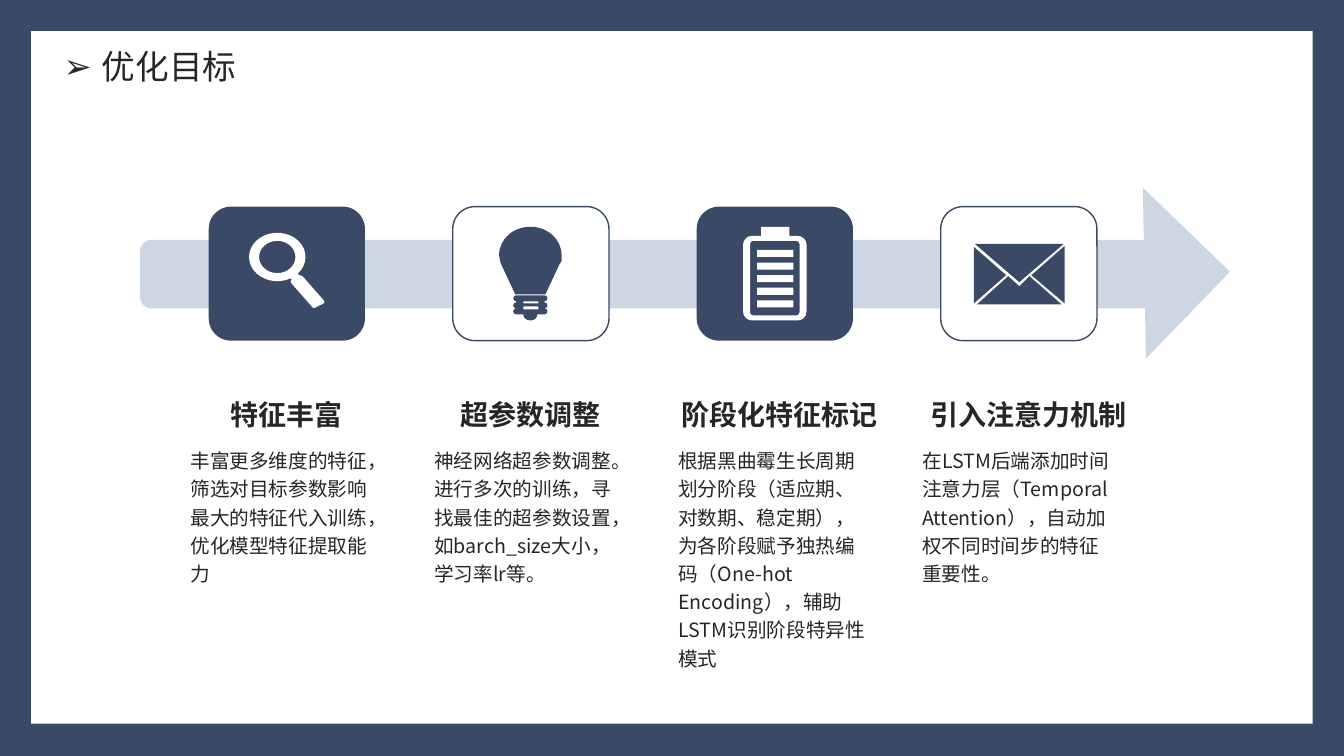
from dataclasses import dataclass
from math import ceil, cos, radians, sin, tan

from lxml import etree
from pptx import Presentation
from pptx.dml.color import RGBColor
from pptx.enum.shapes import MSO_SHAPE as Shape
from pptx.enum.text import MSO_ANCHOR as Anchor, MSO_AUTO_SIZE as AutoSize, PP_ALIGN as Align
from pptx.oxml.ns import qn
from pptx.util import Inches, Pt


@dataclass(frozen=True)
class Theme:
    navy: RGBColor = RGBColor(0x39, 0x49, 0x66)
    pale: RGBColor = RGBColor(0xCE, 0xD6, 0xE4)
    white: RGBColor = RGBColor(0xFF, 0xFF, 0xFF)
    ink: RGBColor = RGBColor(0x26, 0x26, 0x26)
    font: str = "Noto Sans CJK SC"
    title: int = 24
    heading: int = 20
    body: int = 14


THEME = Theme()
CARD_LEFT, CARD_PITCH = 2.07, 2.42
BODY_LEFT = 1.79


@dataclass(frozen=True)
class Goal:
    heading: str
    heading_left: float
    heading_width: float
    body: tuple
    body_height: float
    icon: list


def arc(cx, cy, rx, ry, start=0, end=360):
    """A start point, then Bezier segments (two controls and an end), clockwise."""
    count = ceil((end - start) / 90)
    step = radians((end - start) / count)
    pull = 4 / 3 * tan(step / 4)
    segments = [(cx + rx * cos(radians(start)), cy + ry * sin(radians(start)))]
    for i in range(count):
        a = radians(start) + step * i
        b = a + step
        segments.append((cx + rx * (cos(a) - pull * sin(a)), cy + ry * (sin(a) + pull * cos(a)),
                         cx + rx * (cos(b) + pull * sin(b)), cy + ry * (sin(b) - pull * cos(b)),
                         cx + rx * cos(b), cy + ry * sin(b)))
    return segments


def rounded(left, top, right, bottom, radius):
    corners = [(right - radius, bottom - radius), (left + radius, bottom - radius),
               (left + radius, top + radius), (right - radius, top + radius)]
    return [segment for i, (x, y) in enumerate(corners)
            for segment in arc(x, y, radius, radius, 90 * i, 90 * i + 90)]


def box(left, top, right, bottom):
    return [(left, top), (right, top), (right, bottom), (left, bottom)]


def magnifier():
    handle = [(2.97, 2.74), (2.97, 2.73), (2.98, 2.73, 2.99, 2.73, 3, 2.74), (3.21, 2.98),
              (3.22, 2.99, 3.22, 3, 3.21, 3.01), (3.13, 3.05),
              (3.12, 3.06, 3.11, 3.06, 3.1, 3.05), (2.89, 2.81),
              (2.88, 2.8, 2.88, 2.79, 2.89, 2.78), (2.9, 2.78)]
    return [arc(2.75, 2.55, 0.28, 0.24, 62, 403) + handle,
            arc(2.75, 2.55, 0.18, 0.16)]


def bulb():
    glass = arc(5.26, 2.53, 0.31, 0.28, 180, 360) + [
        (5.57, 2.59), (5.55, 2.62), (5.41, 2.92), (5.11, 2.92), (4.97, 2.62), (4.96, 2.59)]
    threads = (2.96, 3.03, 3.09)
    base = []
    for y in threads:
        base += arc(5.4, y, 0.03, 0.03, -90, 90)
    base += arc(5.26, 3.12, 0.07, 0.06, 0, 180)
    for y in reversed(threads):
        base += arc(5.12, y, 0.03, 0.03, 90, 270)
    gaps = [box(5.19, 2.99, 5.34, 3.01), box(5.19, 3.04, 5.34, 3.07)]
    return [glass, base, *gaps]


def battery():
    bars = [box(7.51, 2.48 + 0.125 * i, 7.87, 2.55 + 0.125 * i) for i in range(5)]
    return [rounded(7.37, 2.34, 8, 3.18, 0.09), rounded(7.44, 2.39, 7.93, 3.13, 0.03),
            box(7.55, 2.25, 7.83, 2.34), *bars]


def envelope():
    return [[(10, 2.74), (10.11, 2.84), (10.21, 2.74), (10.53, 3.02), (9.69, 3.02)],
            [(9.66, 2.45), (9.98, 2.73), (9.66, 3.01)],
            [(10.56, 2.44), (10.56, 3.01), (10.23, 2.73)],
            [(9.67, 2.42), (10.55, 2.42), (10.11, 2.8)]]


GOALS = [
    Goal("特征丰富", 1.95, 1.78,
         ("丰富更多维度的特征，筛选对目标参数影响最大的特征代入训练，优化模型特征提取能力",),
         1.51, magnifier()),
    Goal("超参数调整", 4.37, 1.78,
         ("神经网络超参数调整。进行多次的训练，寻找最佳的超参数设置，",
          "如barch_size大小，学习率lr等。"), 1.51, bulb()),
    Goal("阶段化特征标记", 6.48, 2.51,
         ("根据黑曲霉生长周期划分阶段（适应期、对数期、稳定期），为各阶段赋予独热编码"
          "（One-hot Encoding），辅助LSTM识别阶段特异性模式",), 2.36, battery()),
    Goal("引入注意力机制", 8.95, 2.51,
         ("在LSTM后端添加时间注意力层（Temporal Attention），"
          "自动加权不同时间步的特征重要性。",), 1.51, envelope()),
]


def paint(shape, fill, line=None):
    shape.shadow.inherit = False
    shape.fill.solid()
    shape.fill.fore_color.rgb = fill
    if line is None:
        shape.line.fill.background()
    else:
        shape.line.color.rgb = line
        shape.line.width = Pt(1)


def add_block(shapes, kind, left, top, width, height, fill, line=None):
    block = shapes.add_shape(kind, Inches(left), Inches(top), Inches(width), Inches(height))
    paint(block, fill, line)
    return block


def add_icon(shapes, contours, fill):
    """Draw closed contours as one outline; inner contours cut holes."""
    scaled = [[tuple(map(Inches, segment)) for segment in contour] for contour in contours]
    builder = shapes.build_freeform(*scaled[0][0])
    for i, contour in enumerate(scaled):
        if i:
            builder.move_to(*contour[0])
        builder.add_line_segments([segment[-2:] for segment in contour[1:]], close=True)
    icon = builder.convert_to_shape()
    bend_lines(icon, [segment for contour in scaled for segment in contour[1:]])
    paint(icon, fill)


def bend_lines(icon, segments):
    """Turn the straight lines that stand for Bezier segments into curves."""
    lines = list(icon._element.iter(qn("a:lnTo")))
    for line, segment in zip(lines, segments):
        if len(segment) == 6:
            line.tag = qn("a:cubicBezTo")
            for i in (0, 2):
                control = etree.Element(qn("a:pt"), x=str(segment[i] - icon.left),
                                        y=str(segment[i + 1] - icon.top))
                line.insert(i // 2, control)


def add_run(paragraph, text, size, bold=False):
    run = paragraph.add_run()
    run.text = text
    run.font.size, run.font.bold, run.font.name = Pt(size), bold, THEME.font
    run.font.color.rgb = THEME.ink
    etree.SubElement(run.font._element, qn("a:ea"), typeface=THEME.font)


def add_text(shapes, place, paragraphs, size, align=Align.LEFT, bold=False, spacing=None):
    frame = shapes.add_textbox(*map(Inches, place)).text_frame
    frame.word_wrap = True
    frame.auto_size = AutoSize.SHAPE_TO_FIT_TEXT
    for i, text in enumerate(paragraphs):
        paragraph = frame.add_paragraph() if i else frame.paragraphs[0]
        paragraph.alignment = align
        paragraph.line_spacing = spacing
        add_run(paragraph, text, size, bold)


def set_title(title, text):
    title.left, title.top, title.width, title.height = map(Inches, (0.63, 0.41, 2.24, 0.5))
    frame = title.text_frame
    frame.margin_left = 0
    frame.vertical_anchor = Anchor.TOP
    frame.auto_size = AutoSize.SHAPE_TO_FIT_TEXT
    paragraph = frame.paragraphs[0]
    paragraph.alignment = Align.JUSTIFY
    properties = paragraph._p.get_or_add_pPr()
    properties.set("marL", str(Inches(0.38)))
    properties.set("indent", str(Inches(-0.38)))
    etree.SubElement(properties, qn("a:buFont"), typeface="Arial")
    etree.SubElement(properties, qn("a:buChar"), char="➢")
    add_run(paragraph, text, THEME.title)


def add_panel(shapes):
    """Place the white page panel behind the title."""
    panel = add_block(shapes, Shape.RECTANGLE, 0.31, 0.31, 12.71, 6.87, THEME.white)
    shapes._spTree.insert(2, panel._element)


def add_arrow(shapes):
    arrow = shapes.add_group_shape().shapes
    add_block(arrow, Shape.ROUNDED_RECTANGLE, 1.39, 2.38, 10.07, 0.68, THEME.pale)
    head = add_block(arrow, Shape.RIGHT_TRIANGLE, 10.75, 2.11, 1.2, 1.2, THEME.pale)
    head.rotation = 224


def add_goal(shapes, index, goal):
    dark = index % 2 == 0
    shift = CARD_PITCH * index
    add_block(shapes, Shape.ROUNDED_RECTANGLE, CARD_LEFT + shift, 2.05, 1.55, 1.33,
              THEME.navy if dark else THEME.white, None if dark else THEME.navy)
    add_icon(shapes, goal.icon, THEME.white if dark else THEME.navy)
    add_text(shapes, (goal.heading_left, 3.89, goal.heading_width, 0.44), [goal.heading],
             THEME.heading, Align.CENTER, bold=True)
    add_text(shapes, (BODY_LEFT + shift, 4.36, 2.1, goal.body_height), goal.body,
             THEME.body, spacing=1.2)


def main():
    deck = Presentation()
    deck.slide_width, deck.slide_height = Inches(13.33), Inches(7.5)
    slide = deck.slides.add_slide(deck.slide_layouts[5])
    slide.background.fill.solid()
    slide.background.fill.fore_color.rgb = THEME.navy
    add_panel(slide.shapes)
    set_title(slide.shapes.title, "优化目标")
    add_arrow(slide.shapes)
    for index, goal in enumerate(GOALS):
        add_goal(slide.shapes, index, goal)
    deck.save("out.pptx")


if __name__ == "__main__":
    main()
